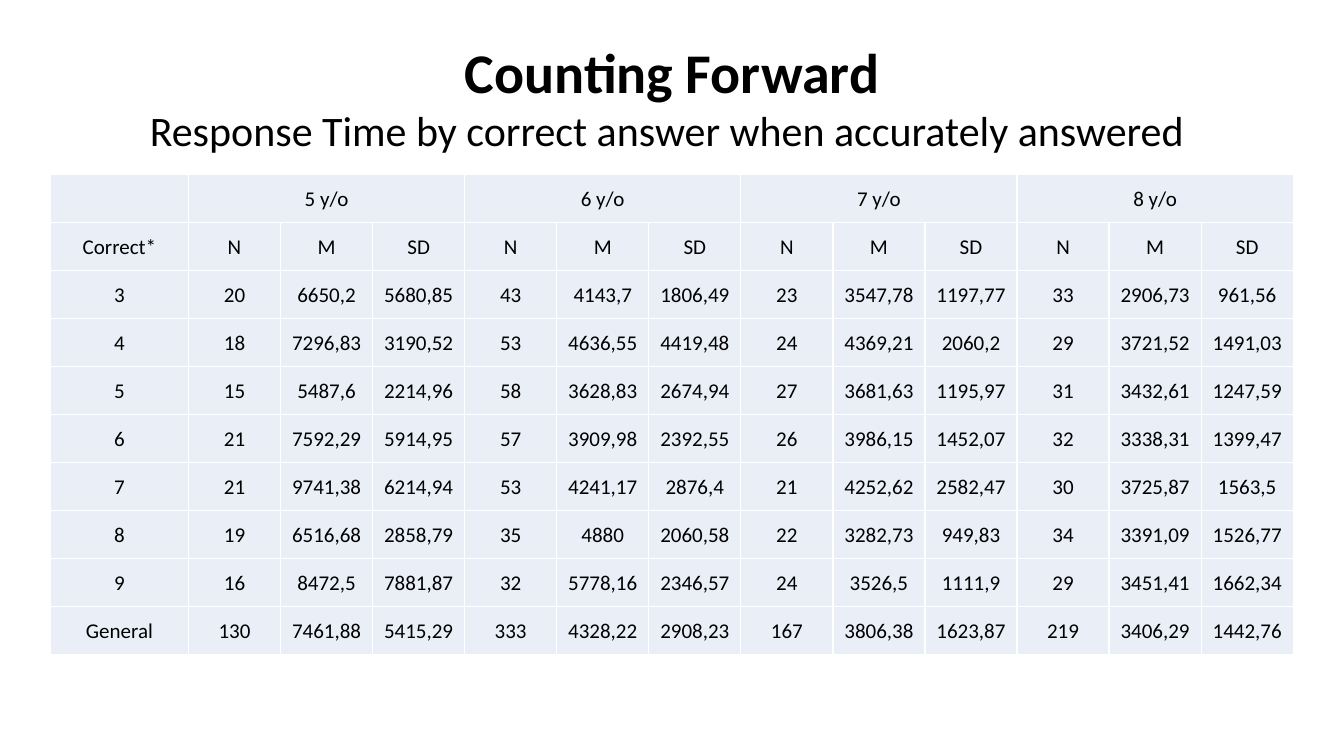
from lxml import etree
from pptx import Presentation
from pptx.dml.color import RGBColor
from pptx.enum import text
from pptx.oxml import ns
from pptx.util import Cm, Pt

COLORS = {"ink": "000000", "cell": "EAEFF7", "line": "FFFFFF"}
FONT = "Calibri"
AGES = ["5 y/o", "6 y/o", "7 y/o", "8 y/o"]
STATS = ["N", "M", "SD"]
DATA = """
3 20 6650,2 5680,85 43 4143,7 1806,49 23 3547,78 1197,77 33 2906,73 961,56
4 18 7296,83 3190,52 53 4636,55 4419,48 24 4369,21 2060,2 29 3721,52 1491,03
5 15 5487,6 2214,96 58 3628,83 2674,94 27 3681,63 1195,97 31 3432,61 1247,59
6 21 7592,29 5914,95 57 3909,98 2392,55 26 3986,15 1452,07 32 3338,31 1399,47
7 21 9741,38 6214,94 53 4241,17 2876,4 21 4252,62 2582,47 30 3725,87 1563,5
8 19 6516,68 2858,79 35 4880 2060,58 22 3282,73 949,83 34 3391,09 1526,77
9 16 8472,5 7881,87 32 5778,16 2346,57 24 3526,5 1111,9 29 3451,41 1662,34
General 130 7461,88 5415,29 333 4328,22 2908,23 167 3806,38 1623,87 219 3406,29 1442,76
"""


def style(para, size, bold=False):
    para.alignment = text.PP_ALIGN.CENTER
    para.font.name = FONT
    para.font.size = Pt(size)
    para.font.bold = bold
    para.font.color.rgb = RGBColor.from_string(COLORS["ink"])


def border(cell):
    props = cell._tc.get_or_add_tcPr()
    for spot, side in enumerate(["lnL", "lnR", "lnT", "lnB"]):
        line = etree.Element(ns.qn("a:" + side), w=str(Pt(1)))
        fill = etree.SubElement(line, ns.qn("a:solidFill"))
        etree.SubElement(fill, ns.qn("a:srgbClr"), val=COLORS["line"])
        props.insert(spot, line)


deck = Presentation()
deck.slide_width, deck.slide_height = Cm(33.87), Cm(19.05)
slide = deck.slides.add_slide(deck.slide_layouts[5])

title = slide.shapes.title
title.left, title.top, title.width, title.height = Cm(3.39), Cm(0.81), Cm(27.09), Cm(3.25)
frame = title.text_frame
frame.text = "Counting Forward\nResponse Time by correct answer when accurately answered "
frame.auto_size = text.MSO_AUTO_SIZE.SHAPE_TO_FIT_TEXT
style(frame.paragraphs[0], 40, True)
style(frame.paragraphs[1], 30)

rows = [[""] + [word for age in AGES for word in (age, "", "")]]
rows.append(["Correct*"] + STATS * len(AGES))
rows += [row.split() for row in DATA.strip().splitlines()]

high = Cm(1.21)
table = slide.shapes.add_table(
    len(rows), len(rows[0]), Cm(1.27), Cm(4.4), Cm(31.32), high * len(rows)
).table
for index, column in enumerate(table.columns):
    column.width = Cm(2.32) if index else Cm(3.48)
table.first_row = table.horz_banding = False

for r, row in enumerate(rows):
    table.rows[r].height = high
    for c, word in enumerate(row):
        cell = table.cell(r, c)
        cell.text = word
        cell.vertical_anchor = text.MSO_ANCHOR.MIDDLE
        cell.margin_left = cell.margin_right = cell.margin_top = Cm(0.03)
        cell.margin_bottom = 0
        cell.fill.solid()
        cell.fill.fore_color.rgb = RGBColor.from_string(COLORS["cell"])
        border(cell)
        style(cell.text_frame.paragraphs[0], 15)

for c in range(1, len(rows[0]), len(STATS)):
    table.cell(0, c).merge(table.cell(0, c + len(STATS) - 1))

deck.save("out.pptx")
